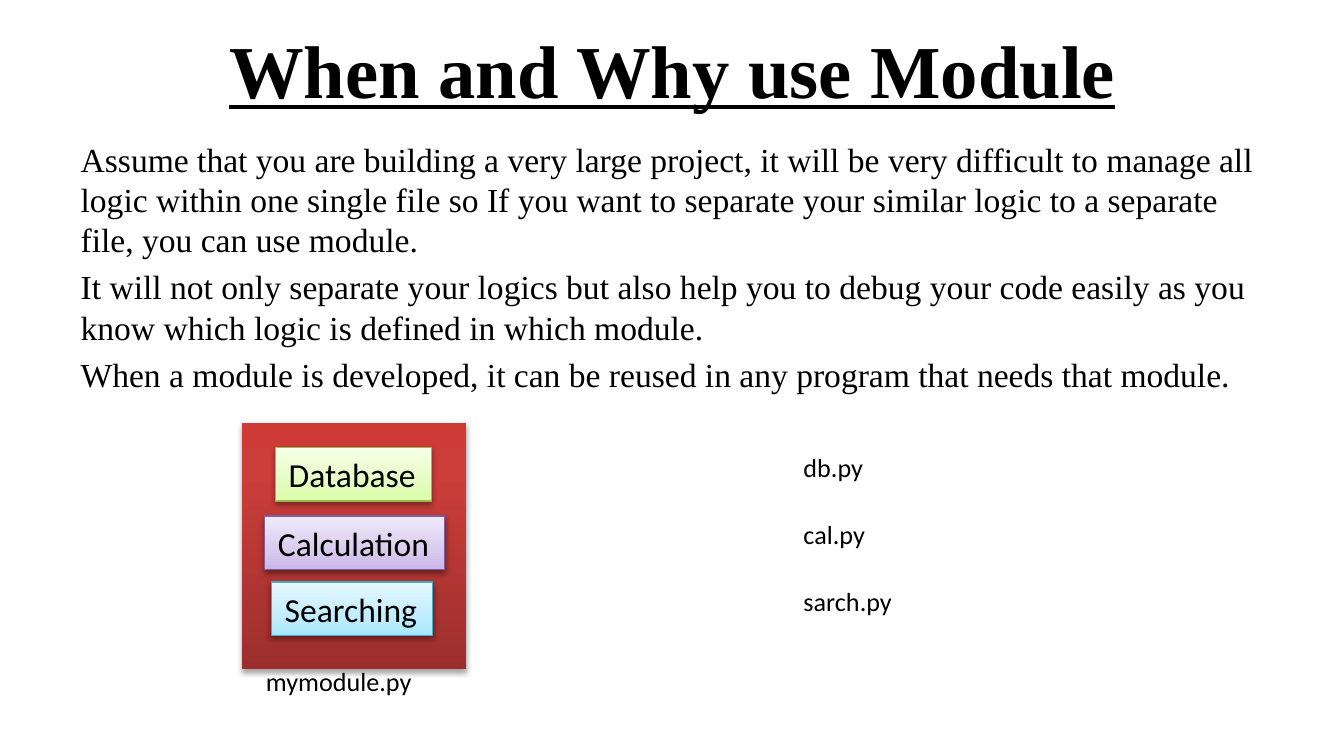
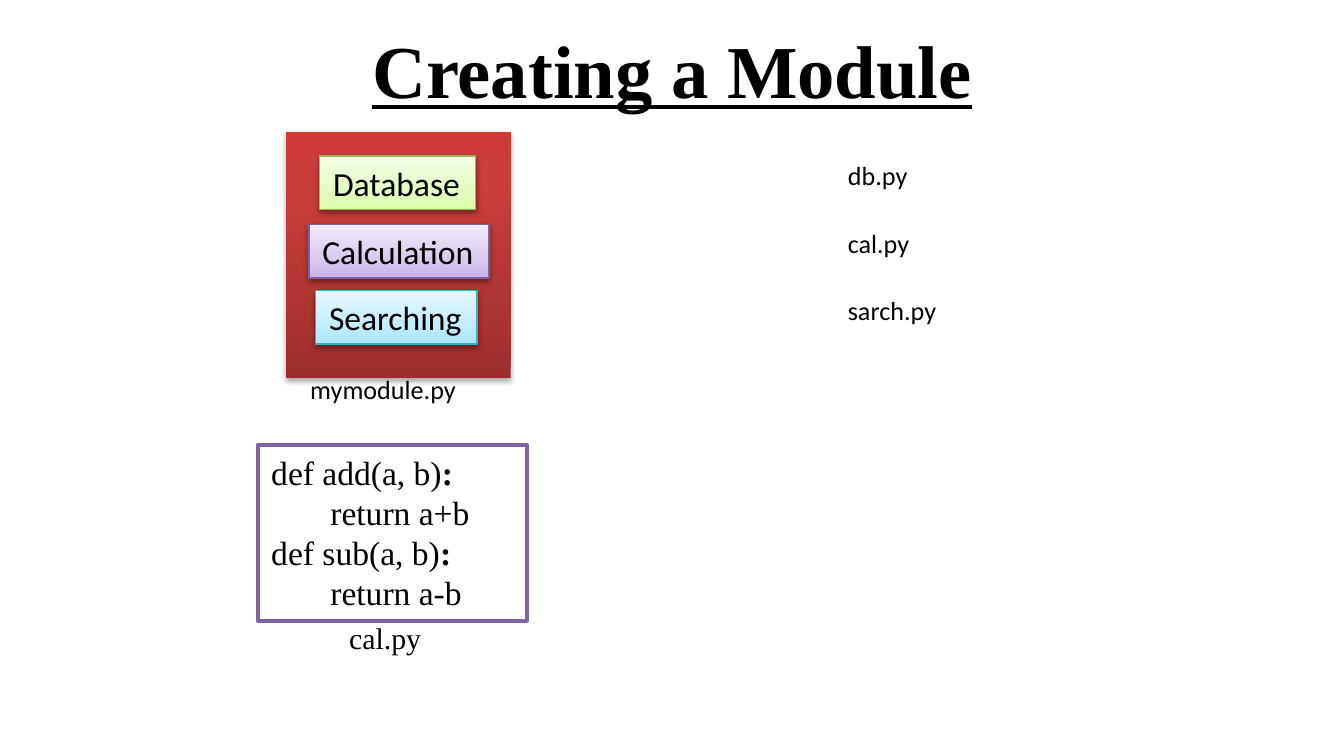
from lxml.etree import SubElement
from pptx import Presentation
from pptx.dml.color import RGBColor
from pptx.enum.shapes import MSO_SHAPE
from pptx.enum.text import MSO_ANCHOR, MSO_AUTO_SIZE, PP_ALIGN
from pptx.oxml.ns import qn
from pptx.util import Inches, Pt

COLORS = {"text": "000000", "white": "FFFFFF", "code_line": "8064A2"}
SERIF, SANS = "Times New Roman", "Calibri"
TITLE_AND_BODY, TITLE_ONLY = 1, 5

# Gradient stops run from bottom to top: (percent, colour)
GRADIENTS = {
    "red": [(0, "9C2F2D"), (80, "CB3E3A"), (100, "CE3B37")],
    "green": [(0, "DAFDA7"), (35, "E4FCC2"), (100, "F5FFE7")],
    "purple": [(0, "C9B5E8"), (35, "D8CBEE"), (100, "F0EAF9")],
    "blue": [(0, "A7E6FF"), (35, "C1EDFF"), (100, "E7F8FF")],
}
BORDERS = {"green": "98B955", "purple": "7D60A0", "blue": "46AAC5"}

# Label, colour, left and top inside the module, width, file, file width
PARTS = [
    ("Database", "green", 0.25, 0.18, 1.16, "db.py", 0.65),
    ("Calculation", "purple", 0.17, 0.69, 1.34, "cal.py", 0.66),
    ("Searching", "blue", 0.22, 1.18, 1.2, "sarch.py", 0.87),
]
BODY = [
    "Assume that you are building a very large project, it will be very "
    "difficult to manage all logic within one single file so If you want to "
    "separate your similar logic to a separate file, you can use module.",
    "It will not only separate your logics but also help you to debug your "
    "code easily as you know which logic is defined in which module.",
    "When a module is developed, it can be reused in any program that needs "
    "that module.",
]
FUNCTIONS = [("def add(a, b)", "return a+b"), ("def sub(a, b)", "return a-b")]


def rgb(value):
    return RGBColor.from_string(value)


def style_font(p, size, name):
    p.font.size, p.font.name = Pt(size), name
    p.font.color.rgb = rgb(COLORS["text"])


def set_indent(p, left):
    """Indent the whole paragraph, with no hanging first line."""
    pPr = p._p.get_or_add_pPr()
    pPr.set("marL", str(Inches(left)))
    pPr.set("indent", "0")
    return pPr


def place(sp, left, top, width, height):
    sp.left, sp.top = Inches(left), Inches(top)
    sp.width, sp.height = Inches(width), Inches(height)


def add_titled_slide(prs, layout, title):
    s = prs.slides.add_slide(prs.slide_layouts[layout])
    sp = s.shapes.title
    place(sp, 0.5, 0.04, 9, 0.94)
    tf = sp.text_frame
    tf.text = title
    tf.auto_size = MSO_AUTO_SIZE.NONE
    tf.vertical_anchor = MSO_ANCHOR.MIDDLE
    p = tf.paragraphs[0]
    p.alignment = PP_ALIGN.CENTER
    style_font(p, 40, SERIF)
    p.font.bold = p.font.underline = True
    return s


def fill_body(s, texts):
    sp = s.placeholders[1]
    place(sp, 0.5, 0.98, 9, 3.71)
    tf = sp.text_frame
    tf.text = "\n".join(texts)
    tf.auto_size = MSO_AUTO_SIZE.NONE
    for p in tf.paragraphs:
        SubElement(set_indent(p, 0), qn("a:buNone"))
        style_font(p, 18, SERIF)


def add_rect(s, left, top, width, height):
    sp = s.shapes.add_shape(MSO_SHAPE.RECTANGLE, Inches(left), Inches(top),
                            Inches(width), Inches(height))
    sp.shadow.inherit = False
    return sp


def set_gradient(sp, stops):
    sp.fill.gradient()
    sp.fill.gradient_angle = 90
    gs_list = sp._element.spPr.find(qn("a:gradFill")).find(qn("a:gsLst"))
    for gs in list(gs_list):
        gs_list.remove(gs)
    for percent, color in stops:
        gs = SubElement(gs_list, qn("a:gs"), pos=str(percent * 1000))
        SubElement(gs, qn("a:srgbClr"), val=color)


def set_shadow(sp, opacity, distance):
    effects = sp._element.spPr.find(qn("a:effectLst"))
    shadow = SubElement(effects, qn("a:outerShdw"), blurRad=str(Pt(3.1)),
                        dist=str(Pt(distance)), dir="5400000", rotWithShape="0")
    color = SubElement(shadow, qn("a:srgbClr"), val=COLORS["text"])
    SubElement(color, qn("a:alpha"), val=str(opacity * 1000))


def set_label(sp, text, size, font):
    tf = sp.text_frame
    tf.text = text
    tf.word_wrap = False
    tf.auto_size = MSO_AUTO_SIZE.SHAPE_TO_FIT_TEXT
    tf.vertical_anchor = MSO_ANCHOR.TOP
    p = tf.paragraphs[0]
    p.alignment = PP_ALIGN.LEFT
    style_font(p, size, font)


def add_caption(s, left, top, width, text, height=0.34, size=14, font=SANS):
    sp = s.shapes.add_textbox(Inches(left), Inches(top), Inches(width),
                              Inches(height))
    set_label(sp, text, size, font)


def add_part(s, left, top, width, text, color):
    sp = add_rect(s, left, top, width, 0.4)
    set_gradient(sp, GRADIENTS[color])
    sp.line.color.rgb = rgb(BORDERS[color])
    sp.line.width = Pt(0.75)
    set_shadow(sp, 38, 1.6)
    set_label(sp, text, 18, SANS)


def add_module_diagram(s, left, top):
    """Draw the module with its parts, and the files they move to."""
    sp = add_rect(s, left, top, 1.67, 1.83)
    set_gradient(sp, GRADIENTS["red"])
    sp.line.fill.background()
    set_shadow(sp, 35, 1.8)
    for label, color, dx, dy, width, _, _ in PARTS:
        add_part(s, left + dx, top + dy, width, label, color)
    add_caption(s, left + 0.08, top + 1.75, 1.29, "mymodule.py")
    for i, (*_, file, width) in enumerate(PARTS):
        add_caption(s, left + 4.08, top + 0.16 + 0.5 * i, width, file)


def add_code_box(s, left, top, width, height):
    sp = add_rect(s, left, top, width, height)
    sp.fill.solid()
    sp.fill.fore_color.rgb = rgb(COLORS["white"])
    sp.line.color.rgb = rgb(COLORS["code_line"])
    sp.line.width = Pt(2)
    tf = sp.text_frame
    tf.word_wrap = True
    tf.auto_size = MSO_AUTO_SIZE.SHAPE_TO_FIT_TEXT
    tf.vertical_anchor = MSO_ANCHOR.TOP
    tf.text = "\n".join(line for function in FUNCTIONS for line in function)
    for i, p in enumerate(tf.paragraphs):
        p.alignment = PP_ALIGN.LEFT
        style_font(p, 18, SERIF)
        if i % 2:
            set_indent(p, 0.44)
        else:
            r = p.add_run()
            r.text = ":"
            r.font.bold = True


def main():
    prs = Presentation()
    prs.slide_width, prs.slide_height = Inches(10), Inches(10 * 9 / 16)

    s = add_titled_slide(prs, TITLE_AND_BODY, "When and Why use Module")
    fill_body(s, BODY)
    add_module_diagram(s, 1.8, 3.15)

    s = add_titled_slide(prs, TITLE_ONLY, "Creating a Module")
    add_module_diagram(s, 2.13, 0.98)
    add_code_box(s, 1.92, 3.31, 2, 1.31)
    add_caption(s, 2.5, 4.56, 0.75, "cal.py", 0.37, 16, SERIF)

    prs.save("out.pptx")


if __name__ == "__main__":
    main()
